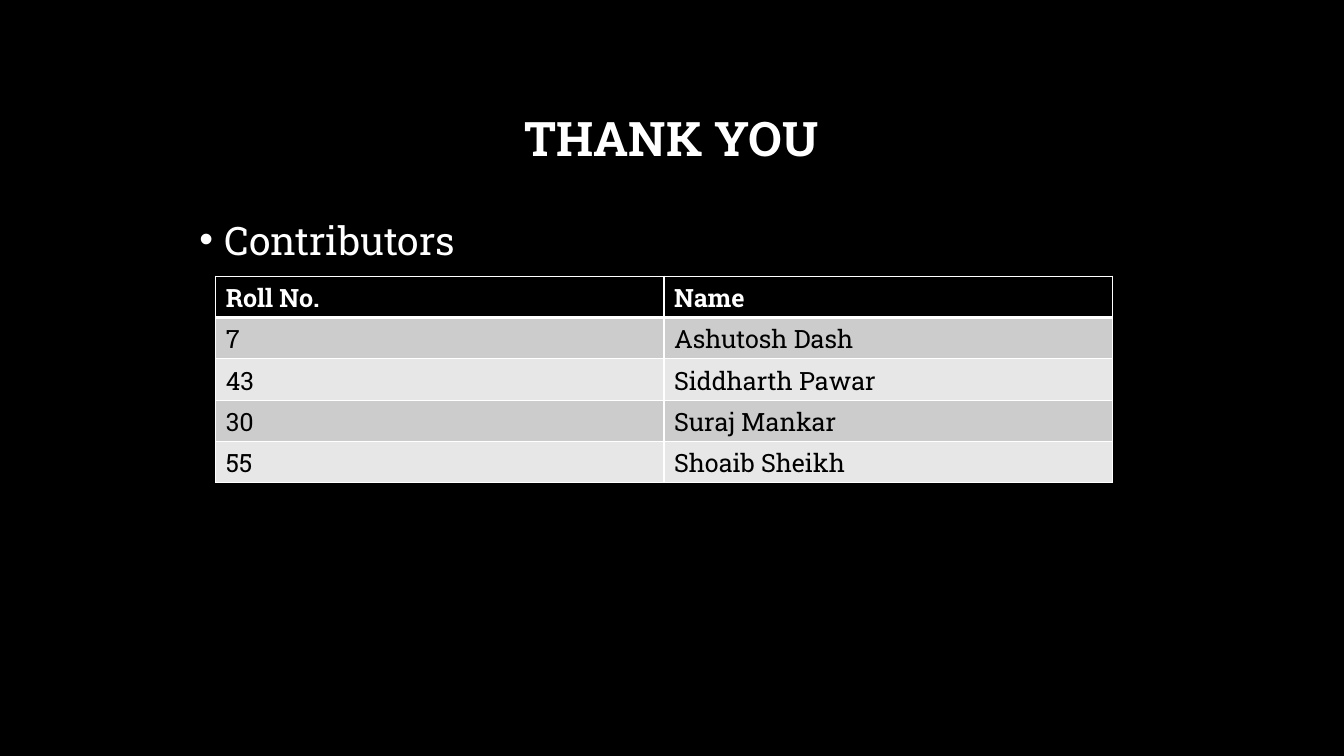
"""Build the closing slide with its table of contributors."""
from lxml.etree import SubElement
from pptx import Presentation
from pptx.dml.color import RGBColor
from pptx.enum.text import MSO_ANCHOR, PP_ALIGN
from pptx.oxml.ns import qn
from pptx.util import Inches, Pt

TITLE = "THANK YOU"
HEADING = "Contributors"
ROWS = [
    ("Roll No.", "Name"),
    ("7", "Ashutosh Dash"),
    ("43", "Siddharth Pawar"),
    ("30", "Suraj Mankar"),
    ("55", "Shoaib Sheikh"),
]
FONT = "Roboto Slab"
BLACK = RGBColor(0x00, 0x00, 0x00)
WHITE = RGBColor(0xFF, 0xFF, 0xFF)
DARK_BAND = RGBColor(0xCC, 0xCC, 0xCC)
LIGHT_BAND = RGBColor(0xE7, 0xE7, 0xE7)
COLUMN_WIDTH, ROW_HEIGHT = 4.445, 0.41


def style(para, size, color, bold=False):
    para.font.name = FONT
    para.font.size = Pt(size)
    para.font.bold = bold
    para.font.color.rgb = color


def add_text(page, text, left, top, width, height, anchor):
    box = page.shapes.add_textbox(Inches(left), Inches(top), Inches(width), Inches(height))
    frame = box.text_frame
    frame.word_wrap = True
    frame.vertical_anchor = anchor
    para = frame.paragraphs[0]
    para.text = text
    return para


def add_bullet(para, indent):
    properties = para._p.get_or_add_pPr()
    properties.set("marL", str(Inches(indent)))
    properties.set("indent", str(-Inches(indent)))
    SubElement(properties, qn("a:buFont"), typeface="Arial")
    SubElement(properties, qn("a:buChar"), char="•")


def set_borders(cell, widths):
    properties = cell._tc.get_or_add_tcPr()
    for position, (side, width) in enumerate(widths.items()):
        line = SubElement(properties, qn(f"a:{side}"), w=str(Pt(width)))
        fill = SubElement(line, qn("a:solidFill"))
        SubElement(fill, qn("a:srgbClr"), val=str(WHITE))
        properties.insert(position, line)


def add_contributors(page):
    columns = len(ROWS[0])
    frame = page.shapes.add_table(
        len(ROWS), columns, Inches(2.14), Inches(2.74),
        Inches(COLUMN_WIDTH * columns), Inches(ROW_HEIGHT * len(ROWS)))
    table = frame.table
    for row, values in enumerate(ROWS):
        table.rows[row].height = Inches(ROW_HEIGHT)
        header = row == 0
        band = BLACK if header else DARK_BAND if row % 2 else LIGHT_BAND
        for column, value in enumerate(values):
            cell = table.cell(row, column)
            cell.text = value
            cell.fill.solid()
            cell.fill.fore_color.rgb = band
            style(cell.text_frame.paragraphs[0], 18, WHITE if header else BLACK, header)
            set_borders(cell, {"lnL": 1, "lnR": 1, "lnT": 3 if row == 1 else 1,
                               "lnB": 3 if header else 1})


def main():
    deck = Presentation()
    deck.slide_width, deck.slide_height = Inches(13.33), Inches(7.5)
    page = deck.slides.add_slide(deck.slide_layouts[6])
    page.background.fill.solid()
    page.background.fill.fore_color.rgb = BLACK

    title = add_text(page, TITLE, 1, 0.67, 11.32, 1.45, MSO_ANCHOR.MIDDLE)
    title.alignment = PP_ALIGN.CENTER
    title.line_spacing = 0.9
    style(title, 34, WHITE, True)

    heading = add_text(page, HEADING, 1.88, 2, 9.16, 4.54, MSO_ANCHOR.TOP)
    heading.line_spacing = 1.2
    add_bullet(heading, 0.25)
    style(heading, 28, WHITE)

    add_contributors(page)
    deck.save("out.pptx")


if __name__ == "__main__":
    main()
